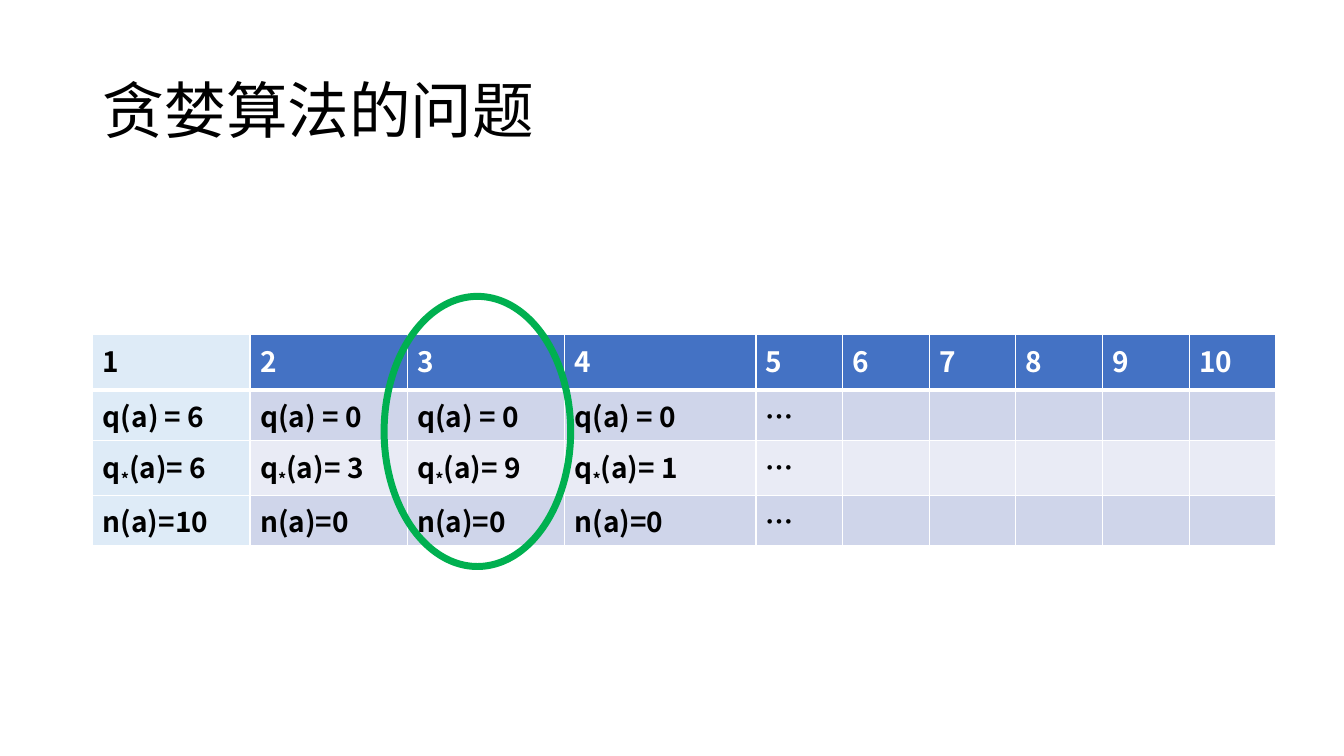
import dataclasses
import typing

import lxml.etree
import pptx
import pptx.dml.color
import pptx.enum.shapes
import pptx.enum.text
import pptx.oxml.ns
import pptx.util


@dataclasses.dataclass(frozen=True)
class Theme:
    font: str = "Noto Sans CJK SC"
    ink: str = "000000"
    paper: str = "FFFFFF"
    header: str = "4472C4"
    chosen: str = "DEEBF7"
    bands: tuple[str, str] = ("CFD5EA", "E9EBF5")
    ring: str = "00B050"
    title_size: int = 44
    cell_size: int = 20
    rule: int = 1
    header_rule: int = 3
    ring_line: int = 5


@dataclasses.dataclass(frozen=True)
class Area:
    left: float
    top: float
    width: float
    height: float

    def lengths(self) -> tuple[int, int, int, int]:
        return across(self.left), down(self.top), across(self.width), down(self.height)


class Span(typing.NamedTuple):
    text: str
    subscript: bool = False


class Arm(typing.NamedTuple):
    estimate: int
    true_value: int
    pulls: int


THEME = Theme()
SLIDE_WIDTH = pptx.util.Inches(13.33)
SLIDE_HEIGHT = pptx.util.Inches(7.5)
COLUMNS = [11.7] * 3 + [14.25] + [6.45] * 6
ROWS = [7.33] + [5.47] * 3
TITLE_AREA = Area(6.9, 5.33, 86.27, 19.33)
TABLE_AREA = Area(6.9, 44.27, sum(COLUMNS), sum(ROWS))
RING_AREA = Area(28.58, 39.2, 13.88, 35.73)
ARMS = [Arm(6, 6, 10), Arm(0, 3, 0), Arm(0, 9, 0), Arm(0, 1, 0)]


def across(percent: float) -> int:
    return round(SLIDE_WIDTH * percent / 100)


def down(percent: float) -> int:
    return round(SLIDE_HEIGHT * percent / 100)


def rgb(value: str) -> pptx.dml.color.RGBColor:
    return pptx.dml.color.RGBColor.from_string(value)


def add_span(para, span: Span, size: int, color: str, bold: bool) -> None:
    run = para.add_run()
    run.text = span.text
    run.font.size = pptx.util.Pt(size)
    run.font.bold = bold
    run.font.name = THEME.font
    run.font.color.rgb = rgb(color)
    properties = run.font._element
    east_asian = lxml.etree.SubElement(properties, pptx.oxml.ns.qn("a:ea"))
    east_asian.set("typeface", THEME.font)
    if span.subscript:
        properties.set("baseline", "-25000")


def add_border(cell, side: str, width: int) -> None:
    line = lxml.etree.SubElement(
        cell._tc.get_or_add_tcPr(), pptx.oxml.ns.qn(f"a:ln{side}")
    )
    line.set("w", str(pptx.util.Pt(width)))
    fill = lxml.etree.SubElement(line, pptx.oxml.ns.qn("a:solidFill"))
    color = lxml.etree.SubElement(fill, pptx.oxml.ns.qn("a:srgbClr"))
    color.set("val", THEME.paper)


def cell_spans(row: int, column: int) -> list[Span]:
    if row == 0:
        return [Span(str(column + 1))]
    if column > len(ARMS):
        return []
    if column == len(ARMS):
        return [Span("…")]
    arm = ARMS[column]
    if row == 1:
        return [Span(f"q(a) = {arm.estimate}")]
    if row == 2:
        return [Span("q"), Span("*", True), Span(f"(a)= {arm.true_value}")]
    return [Span(f"n(a)={arm.pulls}")]


def cell_fill(row: int, column: int) -> str:
    if column == 0:
        return THEME.chosen
    return THEME.header if row == 0 else THEME.bands[(row - 1) % 2]


def add_title(page) -> None:
    title = page.shapes.title
    title.left, title.top, title.width, title.height = TITLE_AREA.lengths()
    title.text_frame.vertical_anchor = pptx.enum.text.MSO_ANCHOR.MIDDLE
    para = title.text_frame.paragraphs[0]
    para.alignment = pptx.enum.text.PP_ALIGN.LEFT
    para.line_spacing = 0.9
    add_span(para, Span("贪婪算法的问题"), THEME.title_size, THEME.ink, False)


def add_arm_table(page) -> None:
    frame = page.shapes.add_table(len(ROWS), len(COLUMNS), *TABLE_AREA.lengths())
    table = frame.table
    for column, width in enumerate(COLUMNS):
        table.columns[column].width = across(width)
    for row, height in enumerate(ROWS):
        table.rows[row].height = down(height)
        for column in range(len(COLUMNS)):
            cell = table.cell(row, column)
            top = THEME.header_rule if row == 1 else THEME.rule
            bottom = THEME.header_rule if row == 0 else THEME.rule
            for side, width in zip("LRTB", (THEME.rule, THEME.rule, top, bottom)):
                add_border(cell, side, width)
            cell.fill.solid()
            cell.fill.fore_color.rgb = rgb(cell_fill(row, column))
            color = THEME.paper if row == 0 and column > 0 else THEME.ink
            for span in cell_spans(row, column):
                para = cell.text_frame.paragraphs[0]
                add_span(para, span, THEME.cell_size, color, True)


def add_ring(page) -> None:
    ring = page.shapes.add_shape(
        pptx.enum.shapes.MSO_SHAPE.OVAL, *RING_AREA.lengths()
    )
    ring.shadow.inherit = False
    ring.fill.background()
    ring.line.color.rgb = rgb(THEME.ring)
    ring.line.width = pptx.util.Pt(THEME.ring_line)


def main() -> None:
    deck = pptx.Presentation()
    deck.slide_width = SLIDE_WIDTH
    deck.slide_height = SLIDE_HEIGHT
    page = deck.slides.add_slide(deck.slide_layouts.get_by_name("Title Only"))
    add_title(page)
    add_arm_table(page)
    add_ring(page)
    deck.save("out.pptx")


if __name__ == "__main__":
    main()
